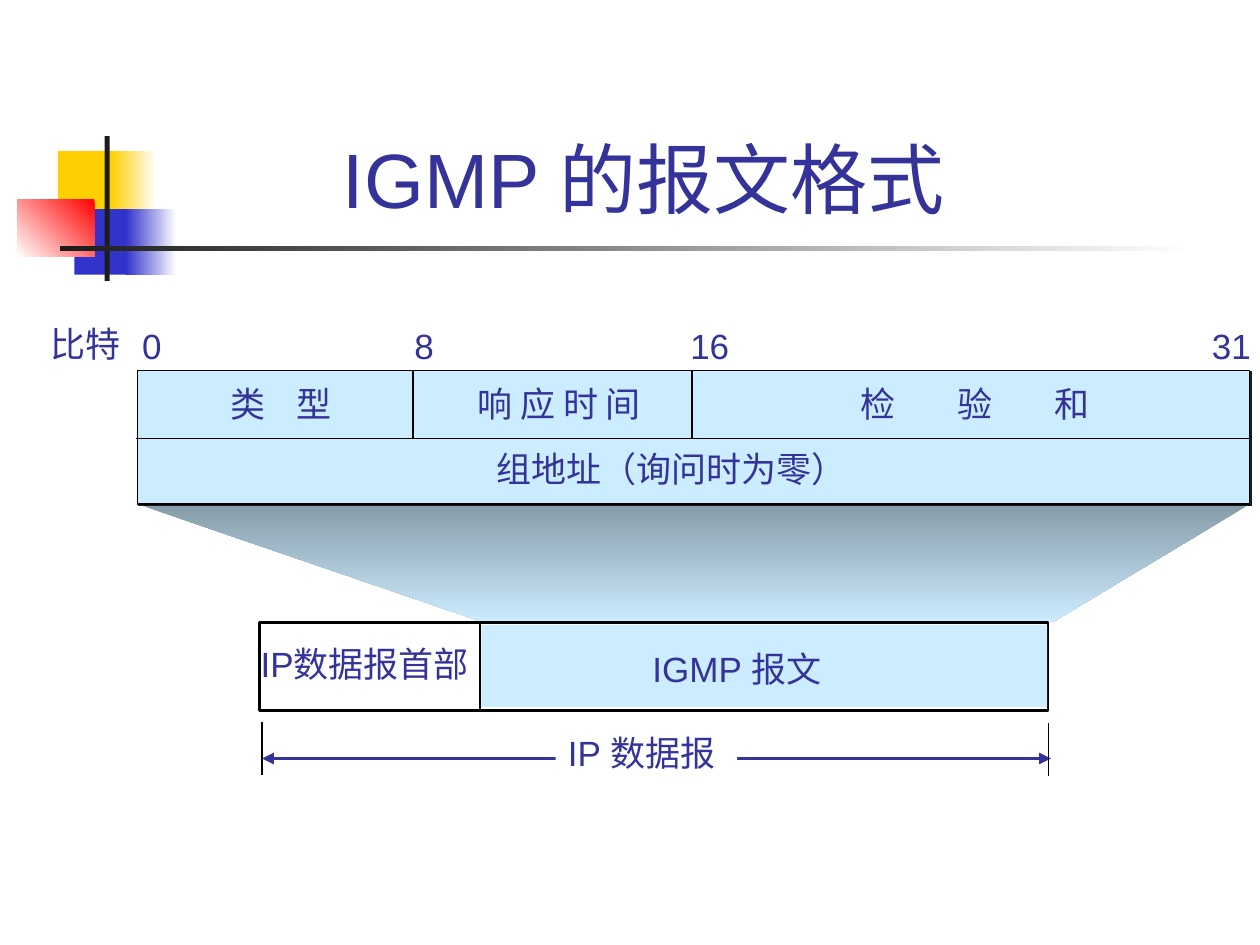
from lxml import etree
from pptx import Presentation
from pptx.dml.color import RGBColor
from pptx.enum.shapes import MSO_CONNECTOR, MSO_SHAPE
from pptx.enum.text import MSO_ANCHOR, MSO_AUTO_SIZE, PP_ALIGN
from pptx.oxml.ns import qn
from pptx.util import Inches, Pt

RECTANGLE = MSO_SHAPE.RECTANGLE
STRAIGHT = MSO_CONNECTOR.STRAIGHT
TITLE_ONLY = 5

THEME = {
    "font": "Arial", "title_size": 44, "text_size": 20,
    "text": "333399", "line": "000000", "field": "CCECFF", "paper": "FFFFFF",
    "dark": "1C1C1C", "yellow": "FFCF01", "blue": "3333CC", "red": "FF0000",
    "shade": "879CA9",
}

TITLE = "IGMP 的报文格式 "

ORNAMENTS = [
    ((0.46, 1.2, 0.48, 0.52), ("yellow",)),
    ((0.88, 1.2, 0.36, 0.52), ("paper", "yellow", 180)),
    ((0.59, 1.66, 0.46, 0.52), ("blue",)),
    ((1, 1.66, 0.4, 0.52), ("paper", "blue", 180)),
    ((0.14, 1.58, 0.61, 0.46), ("red", "paper", 135)),
    ((0.83, 1.08, 0.04, 1.15), ("dark",)),
    ((0.48, 1.95, 9, 0.04), ("paper", "dark", 180)),
]

FUNNEL = [(1.12, 4.01), (9.92, 4), (8.35, 4.94), (3.84, 4.94)]
DATAGRAM = (2.06, 4.94, 6.26, 0.7)
PAYLOAD = (3.82, 4.96, 4.49, 0.65)
MESSAGE = (1.09, 2.94, 8.83, 1.06)
ROW_LINE = 3.48
FIELD_LINES = [3.28, 5.49]
EXTENT_LINES = [(2.08, 5.73), (8.32, 5.74)]
EXTENT_HEIGHT = 0.42
ARROW_Y = 6.02

BIT_TOP, FIELD_TOP, LABEL_HEIGHT = 2.53, 2.99, 0.43
BITS = [("0", 1.03, 0.35), ("8", 3.19, 0.35), ("16", 5.38, 0.51), ("31", 9.52, 0.51)]
FIELDS = [("类 型", 1.73, 1, 6.6), ("响 应 时 间", 3.69, 1.5, 0), ("检 验 和", 6.73, 2.1, 15.5)]
LABELS = [
    ("比特", 0.3, 2.51, 0.76),
    ("组地址（询问时为零）", 3.84, 3.5, 2.98),
    ("IP数据报首部", 1.97, 5.05, 1.92),
    ("IGMP 报文", 5.08, 5.09, 1.61),
]
EXTENT_LABEL = ("IP 数据报", 4.41, 5.76, 1.44)


def color(name):
    return RGBColor.from_string(THEME[name])


def paint(shape, fill, line_width=0):
    shape.shadow.inherit = False
    if len(fill) == 1:
        shape.fill.solid()
        shape.fill.fore_color.rgb = color(fill[0])
    else:
        shape.fill.gradient()
        shape.fill.gradient_angle = 360 - fill[2]
        for stop, name in zip(shape.fill.gradient_stops, fill):
            stop.color.rgb = color(name)
    if line_width:
        shape.line.color.rgb = color("line")
        shape.line.width = Pt(line_width)
    else:
        shape.line.fill.background()


def add_box(slide, box, fill, line_width=0):
    shape = slide.shapes.add_shape(RECTANGLE, *map(Inches, box))
    paint(shape, fill, line_width)
    return shape


def add_line(slide, start, end, width, name="line", arrows=False):
    line = slide.shapes.add_connector(STRAIGHT, *map(Inches, start + end))
    line.line.color.rgb = color(name)
    line.line.width = Pt(width)
    if arrows:
        outline = line.line._get_or_add_ln()
        for tag in ("a:headEnd", "a:tailEnd"):
            etree.SubElement(outline, qn(tag), type="triangle")
    etree.SubElement(line._element.spPr, qn("a:effectLst"))


def format_run(run, size):
    run.font.name = THEME["font"]
    run.font.size = Pt(size)
    run.font.color.rgb = color("text")


def add_label(slide, text, left, top, width, spacing=0, fill=None):
    box = slide.shapes.add_textbox(*map(Inches, (left, top, width, LABEL_HEIGHT)))
    if fill:
        paint(box, fill)
    frame = box.text_frame
    frame.word_wrap = False
    frame.auto_size = MSO_AUTO_SIZE.SHAPE_TO_FIT_TEXT
    paragraph = frame.paragraphs[0]
    paragraph.text = text[:-1] if spacing else text
    if spacing:
        paragraph.runs[0].font._element.set("spc", str(round(spacing * 100)))
        paragraph.add_run().text = text[-1]
    for run in paragraph.runs:
        format_run(run, THEME["text_size"])


def add_title(slide):
    title = slide.shapes.title
    title.left, title.top, title.width, title.height = map(Inches, (1.26, 0.23, 7.84, 1.6))
    frame = title.text_frame
    frame.text = TITLE
    frame.auto_size = MSO_AUTO_SIZE.NONE
    frame.vertical_anchor = MSO_ANCHOR.BOTTOM
    frame.paragraphs[0].alignment = PP_ALIGN.CENTER
    format_run(frame.paragraphs[0].runs[0], THEME["title_size"])


def add_datagram(slide):
    points = [(Inches(x), Inches(y)) for x, y in FUNNEL]
    builder = slide.shapes.build_freeform(*points[0], scale=1)
    builder.add_line_segments(points[1:], close=True)
    paint(builder.convert_to_shape(), ("shade", "field", 90))
    add_box(slide, DATAGRAM, ("paper",), 1.5)
    add_box(slide, PAYLOAD, ("field",))
    add_line(slide, (3.81, 4.94), (3.81, 5.65), 0.75)
    add_line(slide, (2.08, ARROW_Y), (8.34, ARROW_Y), 2.25, "text", arrows=True)
    add_label(slide, *EXTENT_LABEL, fill=("paper",))
    for x, y in EXTENT_LINES:
        add_line(slide, (x, y), (x, y + EXTENT_HEIGHT), 0.75)


def add_message(slide):
    message = add_box(slide, MESSAGE, ("field",), 0.75)
    effects = message._element.spPr.find(qn("a:effectLst"))
    shadow = etree.SubElement(effects, qn("a:outerShdw"), dist=str(Pt(1.4)),
                              dir="2700000", algn="ctr", rotWithShape="0")
    etree.SubElement(shadow, qn("a:srgbClr"), val=THEME["dark"])
    add_line(slide, (1.08, ROW_LINE), (9.93, ROW_LINE), 1)
    for x in FIELD_LINES:
        add_line(slide, (x, MESSAGE[1]), (x, ROW_LINE), 1)


def main():
    presentation = Presentation()
    presentation.slide_width, presentation.slide_height = Inches(10), Inches(7.5)
    slide = presentation.slides.add_slide(presentation.slide_layouts[TITLE_ONLY])
    for box, fill in ORNAMENTS:
        add_box(slide, box, fill)
    add_title(slide)
    add_datagram(slide)
    add_message(slide)
    for text, left, width in BITS:
        add_label(slide, text, left, BIT_TOP, width)
    for text, left, width, spacing in FIELDS:
        add_label(slide, text, left, FIELD_TOP, width, spacing)
    for label in LABELS:
        add_label(slide, *label)
    presentation.save("out.pptx")


if __name__ == "__main__":
    main()
